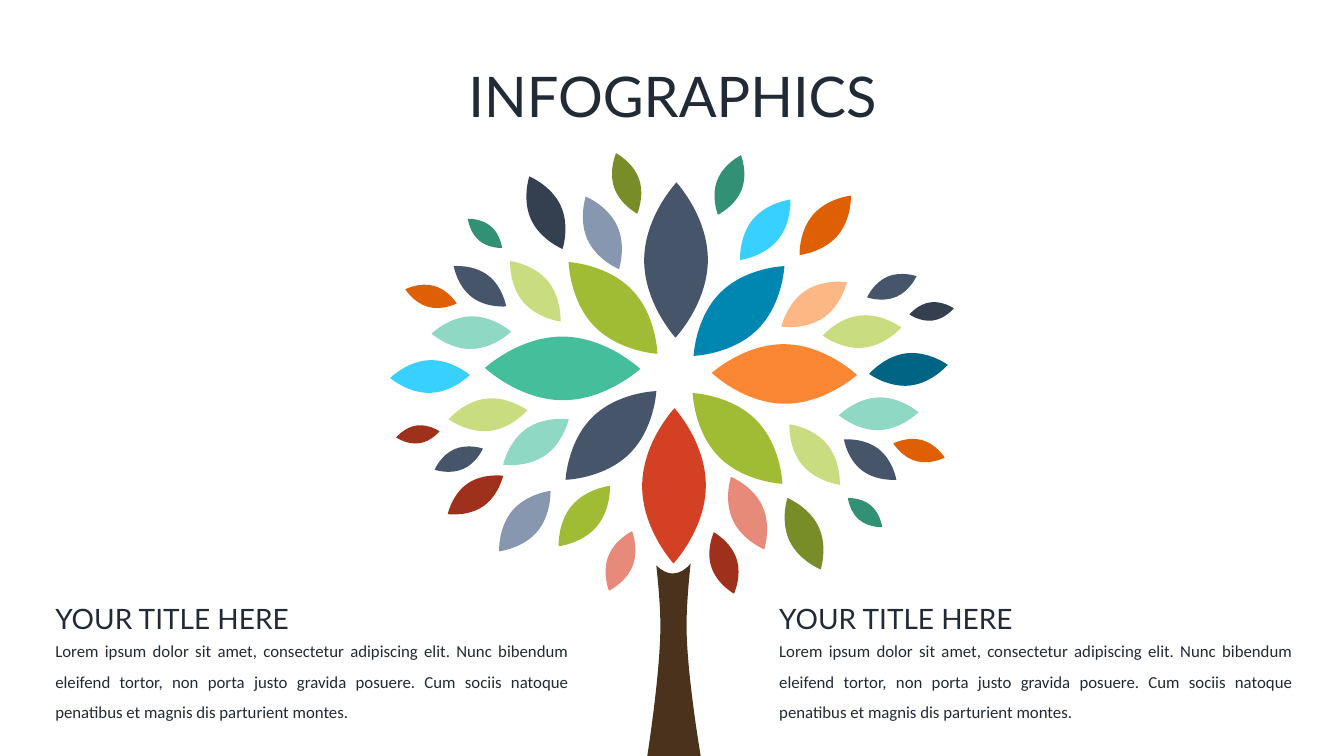
from lxml import etree
from pptx import Presentation
from pptx import util as u
from pptx.dml.color import RGBColor
from pptx.enum import text
from pptx.oxml import ns

COLORS = {
    "ink": "222A35", "bark": "4B321D", "slate": "46556A", "navy": "34404F",
    "steel": "8697AF", "teal": "45BE9B", "mint": "8FD8C3", "pine": "329075",
    "blue": "0087B1", "sky": "37D0FF", "ocean": "006585", "lime": "A0BC34",
    "pale lime": "C9DC80", "olive": "788D27", "orange": "FB8734",
    "peach": "FDB785", "rust": "DF6004", "red": "D44024", "rose": "E88A79",
    "brick": "9F301B",
}

LEAF_TIPS = {
    "slate": [(6.71, 1.81, 6.7, 3.35), (8.6, 2.95, 9.09, 2.74), (4.5, 2.64, 5.02, 3.04),
              (6.51, 3.88, 5.61, 4.76), (4.79, 4.45, 4.31, 4.66), (8.37, 4.36, 8.89, 4.76)],
    "navy": [(9.02, 3.12, 9.46, 3.06), (5.25, 1.75, 5.58, 2.47)],
    "steel": [(5.81, 1.95, 6.14, 2.67), (5.46, 4.87, 4.95, 5.47)],
    "teal": [(4.81, 3.65, 6.35, 3.66)],
    "mint": [(4.28, 3.31, 5.07, 3.29), (5.64, 4.16, 4.99, 4.61), (8.32, 4.12, 9.11, 4.09)],
    "pine": [(4.64, 2.17, 4.98, 2.46), (7.35, 1.54, 7.12, 2.13), (8.41, 4.94, 8.75, 5.23)],
    "blue": [(7.78, 2.64, 6.88, 3.53)],
    "sky": [(7.84, 1.98, 7.34, 2.58), (3.87, 3.75, 4.66, 3.72)],
    "ocean": [(8.62, 3.71, 9.4, 3.62)],
    "lime": [(5.64, 2.6, 6.52, 3.51), (6.05, 4.82, 5.54, 5.42), (6.87, 3.9, 7.76, 4.8)],
    "pale lime": [(8.16, 3.33, 8.94, 3.25), (5.06, 2.59, 5.56, 3.19),
                  (5.23, 4.07, 4.45, 4.16), (7.83, 4.21, 8.33, 4.81)],
    "olive": [(6.11, 1.52, 6.32, 2.12), (7.81, 4.94, 8.14, 5.65)],
    "orange": [(7.06, 3.7, 8.5, 3.72)],
    "peach": [(8.4, 2.8, 7.75, 3.24)],
    "rust": [(8.44, 1.94, 7.93, 2.53), (4.02, 2.87, 4.53, 3.01), (8.86, 4.4, 9.37, 4.54)],
    "red": [(6.69, 4.05, 6.68, 5.59)],
    "rose": [(7.25, 4.73, 7.58, 5.45), (6.27, 5.27, 6.04, 5.86)],
    "brick": [(4.99, 4.72, 4.44, 5.1), (4.36, 4.28, 3.93, 4.34), (7.08, 5.28, 7.28, 5.89)],
}

TRUNK_START = (6.81, 6.21)
TRUNK_CURVES = [
    ((6.81, 6.01), (6.83, 5.78), (6.85, 5.59)),
    ((6.8, 5.65), (6.74, 5.69), (6.67, 5.69)),
    ((6.62, 5.69), (6.56, 5.66), (6.51, 5.61)),
    ((6.53, 5.8), (6.55, 6.02), (6.55, 6.21)),
    ((6.55, 6.68), (6.42, 7.5), (6.42, 7.5)),
    ((6.95, 7.5), (6.95, 7.5), (6.95, 7.5)),
    ((6.95, 7.5), (6.81, 6.68), (6.81, 6.21)),
]

TITLE = "INFOGRAPHICS"
CAPTION_TITLE = "YOUR TITLE HERE"
CAPTION_BODY = (
    "Lorem ipsum dolor sit amet, consectetur adipiscing elit. Nunc bibendum "
    "eleifend tortor, non porta justo gravida posuere. Cum sociis natoque "
    "penatibus et magnis dis parturient montes."
)
CAPTION_LEFTS = [0.45, 7.63]

LEAF_WIDTH_RATIO = 0.41
LEAF_HANDLE_RATIO = 0.28


def add_outline(shapes, start, curves, color):
    builder = shapes.build_freeform(u.Inches(start[0]), u.Inches(start[1]))
    builder.add_line_segments([(u.Inches(x), u.Inches(y)) for _, _, (x, y) in curves])
    outline = builder.convert_to_shape()
    segments = list(outline._element.iter(ns.qn("a:lnTo")))
    for segment, curve in zip(segments, curves):
        bend = etree.Element(ns.qn("a:cubicBezTo"))
        for x, y in curve:
            etree.SubElement(bend, ns.qn("a:pt"), x=str(u.Inches(x) - outline.left),
                             y=str(u.Inches(y) - outline.top))
        segment.getparent().replace(segment, bend)
    outline.shadow.inherit = False
    outline.fill.solid()
    outline.fill.fore_color.rgb = RGBColor.from_string(COLORS[color])
    outline.line.fill.background()


def add_leaf(shapes, tips, color):
    x1, y1, x2, y2 = tips
    dx, dy = x2 - x1, y2 - y1
    middle_x, middle_y = (x1 + x2) / 2, (y1 + y2) / 2
    half = LEAF_WIDTH_RATIO / 2

    def side_point(side, along):
        return (middle_x - side * half * dy + along * LEAF_HANDLE_RATIO * dx,
                middle_y + side * half * dx + along * LEAF_HANDLE_RATIO * dy)

    base, tip = (x1, y1), (x2, y2)
    curves = [
        (side_point(1, 1), tip, tip),
        (tip, side_point(-1, 1), side_point(-1, 0)),
        (side_point(-1, -1), base, base),
        (base, side_point(1, -1), side_point(1, 0)),
    ]
    add_outline(shapes, side_point(1, 0), curves, color)


def add_text(page, words, *, left, top, width, height, size, font,
             align=text.PP_ALIGN.LEFT, spacing=None):
    box = page.shapes.add_textbox(*(u.Inches(n) for n in (left, top, width, height)))
    frame = box.text_frame
    frame.word_wrap = True
    frame.auto_size = text.MSO_AUTO_SIZE.SHAPE_TO_FIT_TEXT
    para = frame.paragraphs[0]
    para.alignment = align
    para.line_spacing = spacing
    span = para.add_run()
    span.text = words
    span.font.name = font
    span.font.size = u.Pt(size)
    span.font.color.rgb = RGBColor.from_string(COLORS["ink"])


def main():
    deck = Presentation()
    deck.slide_width, deck.slide_height = u.Inches(13.33), u.Inches(7.5)
    page = deck.slides.add_slide(deck.slide_layouts[6])

    tree = page.shapes.add_group_shape()
    for color, leaves in LEAF_TIPS.items():
        for tips in leaves:
            add_leaf(tree.shapes, tips, color)
    add_outline(tree.shapes, TRUNK_START, TRUNK_CURVES, "bark")

    add_text(page, TITLE, left=4.08, top=0.56, width=5.18, height=0.77,
             size=40, font="Lato", align=text.PP_ALIGN.CENTER)
    for left in CAPTION_LEFTS:
        add_text(page, CAPTION_BODY, left=left, top=6.21, width=5.29, height=1.01,
                 size=12, font="Calibri", align=text.PP_ALIGN.JUSTIFY, spacing=1.5)
        add_text(page, CAPTION_TITLE, left=left, top=5.92, width=5.29, height=0.44,
                 size=20, font="Lato")
    deck.save("out.pptx")


if __name__ == "__main__":
    main()
